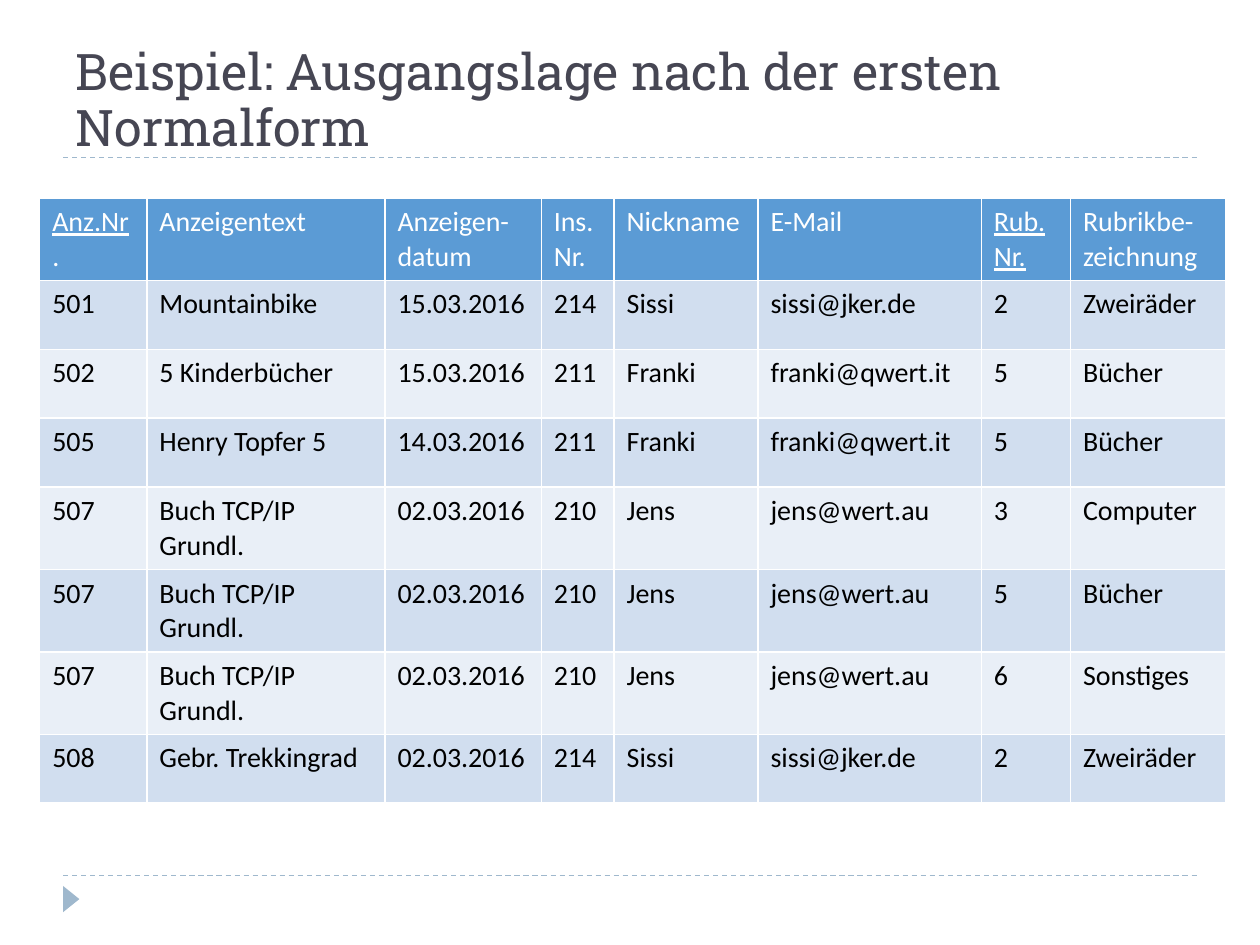
from dataclasses import dataclass

from lxml.etree import SubElement as Sub
from pptx import Presentation
from pptx.dml.color import RGBColor as RGB
from pptx.enum.dml import MSO_LINE
from pptx.enum.shapes import MSO_CONNECTOR, MSO_SHAPE
from pptx.enum.text import MSO_ANCHOR, MSO_AUTO_SIZE, PP_ALIGN
from pptx.oxml.ns import qn
from pptx.util import Cm, Pt

INK = {
    "title": "464653",
    "rule": "9FB8CD",
    "head": "5B9BD5",
    "odd": "D1DEEF",
    "even": "E9EFF7",
    "white": "FFFFFF",
    "black": "000000",
}


@dataclass(frozen=True)
class Column:
    head: str
    width: float
    key: bool = False


COLS = [
    Column("Anz.Nr", 2.16, key=True),
    Column("Anzeigentext", 4.8),
    Column("Anzeigen-\vdatum", 3.15),
    Column("Ins.\vNr.", 1.47),
    Column("Nickname", 2.9),
    Column("E-Mail", 4.5),
    Column("Rub.\vNr.", 1.8, key=True),
    Column("Rubrikbe-\vzeichnung", 3.12),
]


@dataclass(frozen=True)
class User:
    num: str
    nick: str
    mail: str


SISSI = User("214", "Sissi", "sissi@jker.de")
FRANKI = User("211", "Franki", "franki@qwert.it")
JENS = User("210", "Jens", "jens@wert.au")

RUBRICS = {"2": "Zweiräder", "3": "Computer", "5": "Bücher", "6": "Sonstiges"}


@dataclass(frozen=True)
class Advert:
    num: str
    text: str
    date: str
    user: User
    rubric: str

    def cells(self) -> list[str]:
        user = self.user
        return [self.num, self.text, self.date, user.num, user.nick,
                user.mail, self.rubric, RUBRICS[self.rubric]]


ADVERTS = [
    Advert("501", "Mountainbike", "15.03.2016", SISSI, "2"),
    Advert("502", "5 Kinderbücher", "15.03.2016", FRANKI, "5"),
    Advert("505", "Henry Topfer 5", "14.03.2016", FRANKI, "5"),
    *(Advert("507", "Buch TCP/IP Grundl.", "02.03.2016", JENS, rubric)
      for rubric in "356"),
    Advert("508", "Gebr. Trekkingrad", "02.03.2016", SISSI, "2"),
]


def color(name: str) -> RGB:
    return RGB.from_string(INK[name])


def add_title(slide, text: str) -> None:
    title = slide.shapes.title
    title.left, title.top = Cm(1.27), Cm(0.43)
    title.width, title.height = Cm(22.86), Cm(2.75)
    frame = title.text_frame
    frame.text = text
    frame.auto_size = MSO_AUTO_SIZE.NONE
    frame.vertical_anchor = MSO_ANCHOR.BOTTOM
    frame.margin_bottom = 0
    para = frame.paragraphs[0]
    para.alignment = PP_ALIGN.LEFT
    para.line_spacing = 0.92
    font = para.runs[0].font
    font.name, font.size = "Roboto Slab", Pt(28.8)
    font.color.rgb = color("title")


def add_rule(slide, top: float) -> None:
    rule = slide.shapes.add_connector(
        MSO_CONNECTOR.STRAIGHT, Cm(1.27), Cm(top), Cm(24.13), Cm(top))
    rule.line.color.rgb = color("rule")
    rule.line.width = Pt(0.75)
    rule.line.dash_style = MSO_LINE.DASH
    Sub(rule._element.spPr, qn("a:effectLst"))


def add_marker(slide) -> None:
    mark = slide.shapes.add_shape(
        MSO_SHAPE.ISOSCELES_TRIANGLE, Cm(1.17), Cm(17.96), Cm(0.53), Cm(0.33))
    mark.rotation = 90
    mark.shadow.inherit = False
    mark.fill.solid()
    mark.fill.fore_color.rgb = color("rule")
    mark.line.fill.background()


def add_edges(cell) -> None:
    props = cell._tc.get_or_add_tcPr()
    for side in "LRTB":
        edge = Sub(props, qn(f"a:ln{side}"), w=str(Pt(0.91)))
        fill = Sub(edge, qn("a:solidFill"))
        Sub(fill, qn("a:srgbClr"), val=INK["white"])


def fill_cell(cell, text: str, back: str, ink: str, key: bool = False) -> None:
    add_edges(cell)
    cell.fill.solid()
    cell.fill.fore_color.rgb = color(back)
    para = cell.text_frame.paragraphs[0]
    para.text = text
    para.line_spacing = 1.02
    for run in para.runs:
        run.font.underline = key
    if text == "Anz.Nr":  # the closing dot is not underlined
        para.add_run().text = "."
    for run in para.runs:
        run.font.name, run.font.size = "Calibri", Pt(16)
        run.font.color.rgb = color(ink)


def add_grid(slide) -> None:
    count = len(ADVERTS) + 1
    high = Cm(1.39)
    wide = Cm(sum(col.width for col in COLS))
    grid = slide.shapes.add_table(
        count, len(COLS), Cm(0.8), Cm(3.99), wide, high * count).table
    grid.first_row = grid.horz_banding = False
    for row in grid.rows:
        row.height = high
    for x, col in enumerate(COLS):
        grid.columns[x].width = Cm(col.width)
        fill_cell(grid.cell(0, x), col.head, "head", "white", col.key)
    for y, advert in enumerate(ADVERTS, 1):
        back = "odd" if y % 2 else "even"
        for x, text in enumerate(advert.cells()):
            fill_cell(grid.cell(y, x), text, back, "black")


def main() -> None:
    deck = Presentation()
    deck.slide_width, deck.slide_height = Cm(25.4), Cm(19.05)
    slide = deck.slides.add_slide(deck.slide_layouts[5])
    for top in (17.65, 3.18):
        add_rule(slide, top)
    add_marker(slide)
    add_title(slide, "Beispiel: Ausgangslage nach der ersten Normalform")
    add_grid(slide)
    deck.save("out.pptx")


if __name__ == "__main__":
    main()
